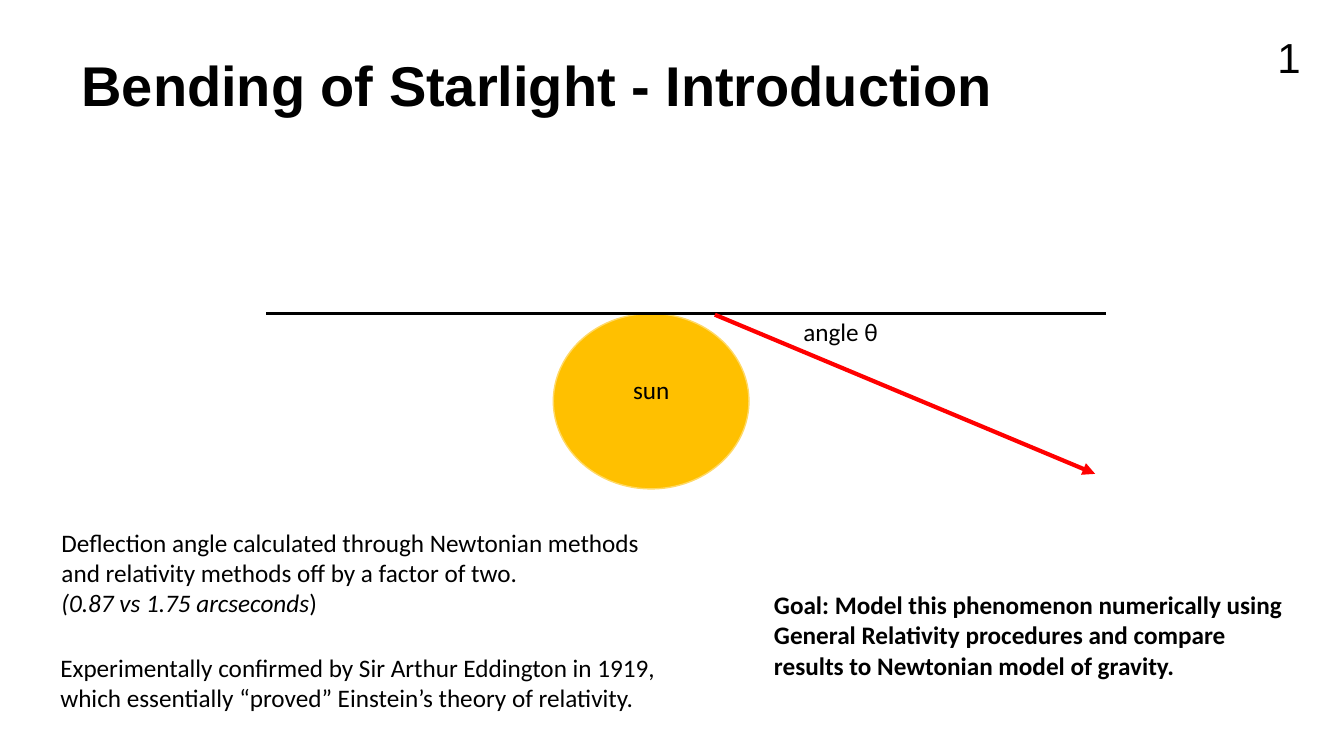
from lxml.etree import SubElement
from pptx import Presentation
from pptx.dml.color import RGBColor
from pptx.enum.shapes import MSO_CONNECTOR, MSO_SHAPE
from pptx.enum.text import MSO_ANCHOR, MSO_AUTO_SIZE, PP_ALIGN
from pptx.oxml.ns import qn
from pptx.util import Cm, Pt

BLACK = RGBColor(0x00, 0x00, 0x00)
SUN_FILL = RGBColor(0xFF, 0xC0, 0x00)
SUN_EDGE = RGBColor(0xFF, 0xD9, 0x66)
RAY_RED = RGBColor(0xFF, 0x00, 0x00)


def write(frame, text, font="Calibri", size=18, bold=False, wrap=True):
    """Fill a frame with paragraphs, each a list of (words, italic) runs."""
    frame.word_wrap = wrap
    frame.auto_size = MSO_AUTO_SIZE.NONE
    frame.vertical_anchor = MSO_ANCHOR.TOP
    paragraphs = [[(line, False)] if isinstance(line, str) else line for line in text]
    for index, runs in enumerate(paragraphs):
        paragraph = frame.add_paragraph() if index else frame.paragraphs[0]
        paragraph.alignment = PP_ALIGN.LEFT
        for words, italic in runs:
            run = paragraph.add_run()
            run.text = words
            run.font.name = font
            run.font.size = Pt(size)
            run.font.bold = bold
            run.font.italic = italic
            run.font.color.rgb = BLACK


def add_text(slide, left, top, width, height, text, **style):
    """Add a text box, measured in centimetres."""
    box = slide.shapes.add_textbox(Cm(left), Cm(top), Cm(width), Cm(height))
    write(box.text_frame, text, **style)


def add_line(slide, start, end, color, weight, arrow=False):
    """Draw a straight line between two points in centimetres."""
    line = slide.shapes.add_connector(
        MSO_CONNECTOR.STRAIGHT, *(Cm(value) for value in (*start, *end)))
    line.line.color.rgb = color
    line.line.width = Pt(weight)
    if arrow:
        SubElement(line.line._get_or_add_ln(), qn("a:tailEnd"), type="triangle")
    SubElement(line._element.spPr, qn("a:effectLst"))


def add_header(slide, left, top, width):
    """Place the title and the page number across the top."""
    title = slide.shapes.title
    title.left, title.top = Cm(left), Cm(top + 0.48)
    title.width, title.height = Cm(23.7), Cm(1.96)
    write(title.text_frame, ["Bending of Starlight - Introduction"],
          font="Arial", size=40, bold=True)
    add_text(slide, left + width - 1.12, top, 1.12, 1.55, ["1"],
             font="Arial", size=30, wrap=False)


def add_deflection(slide, left, top, width, height):
    """Draw the sun, the straight path and the bent ray of light."""
    sun = slide.shapes.add_shape(
        MSO_SHAPE.OVAL, Cm(left + 7.23), Cm(top), Cm(4.93), Cm(height))
    sun.shadow.inherit = False
    sun.fill.solid()
    sun.fill.fore_color.rgb = SUN_FILL
    sun.line.color.rgb = SUN_EDGE
    sun.line.width = Pt(1)
    add_line(slide, (left, top), (left + width, top), BLACK, 2.25)
    add_line(slide, (left + 11.3, top + 0.03), (left + width - 0.28, top + 4.04),
             RAY_RED, 3, arrow=True)
    add_text(slide, left + 8.99, top + 1.42, 2.54, 1.02, ["sun"])
    add_text(slide, left + 13.28, top - 0.05, 2.41, 1.02, ["angle θ"], wrap=False)


def add_findings(slide, left, top, width):
    """Place the background notes on the left and the goal on the right."""
    add_text(slide, left + 0.03, top, 15.24, 2.57, [
        "Deflection angle calculated through Newtonian methods",
        "and relativity methods off by a factor of two.",
        [("(0.87 vs 1.75 arcseconds", True), (")", False)],
    ])
    add_text(slide, left, top + 3.15, 15.54, 1.8, [
        "Experimentally confirmed by Sir Arthur Eddington in 1919, "
        "which essentially “proved” Einstein’s theory of relativity.",
    ])
    add_text(slide, left + width - 13.79, top + 1.57, 13.79, 2.57, [
        "Goal: Model this phenomenon numerically using",
        "General Relativity procedures and compare results to Newtonian model of gravity.",
    ], bold=True)


def main():
    """Build the slide and save it."""
    deck = Presentation()
    deck.slide_width, deck.slide_height = Cm(33.86), Cm(19.05)
    slide = deck.slides.add_slide(deck.slide_layouts[5])
    add_header(slide, 1.8, 0.66, 31.25)
    add_deflection(slide, 6.71, 7.9, 21.16, 4.42)
    add_findings(slide, 1.27, 13.16, 31.77)
    deck.save("out.pptx")


if __name__ == "__main__":
    main()
